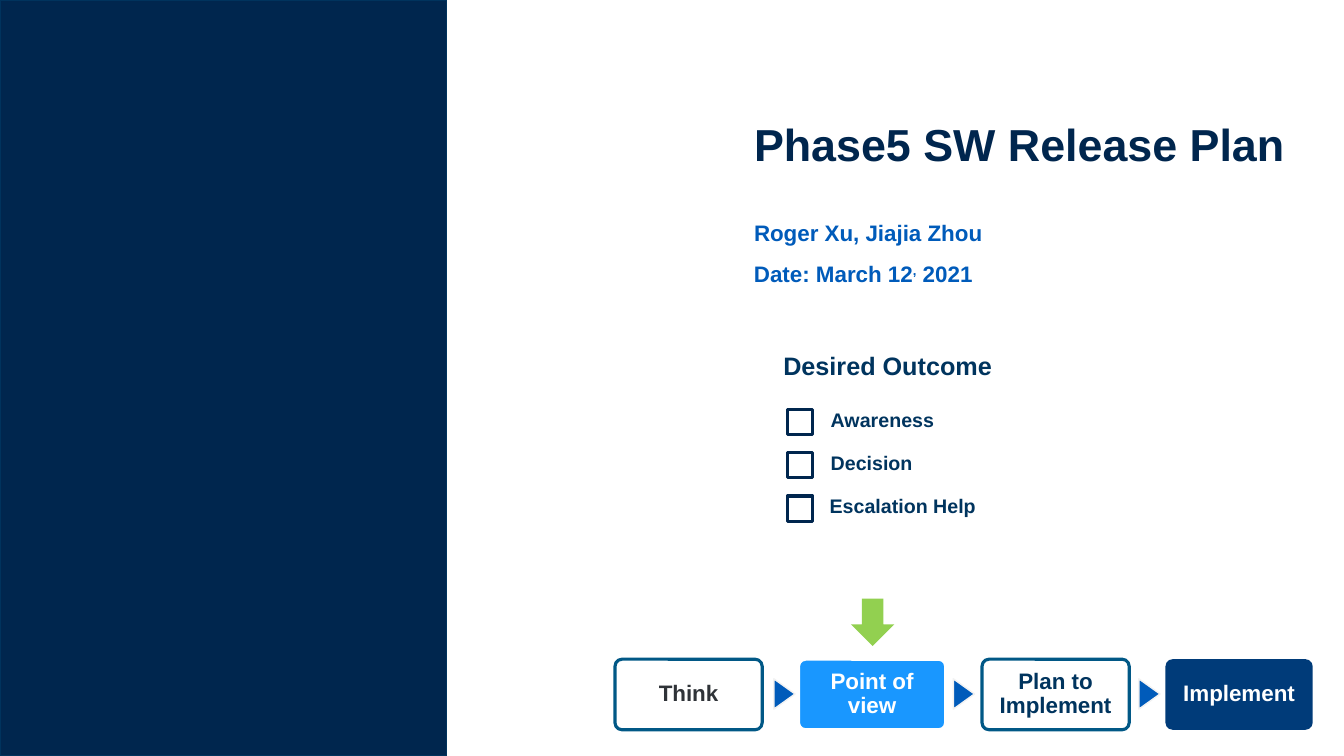
from dataclasses import dataclass
from typing import Optional

import pptx
import pptx.dml.color
import pptx.enum.shapes
import pptx.enum.text
import pptx.util

Inches = pptx.util.Inches
Pt = pptx.util.Pt
Preset = pptx.enum.shapes.MSO_SHAPE
Align = pptx.enum.text.PP_ALIGN

NAVY, DARK_BLUE, BLUE, WHITE = "00264E", "00345E", "005BBA", "FFFFFF"
TEAL = "015886"


@dataclass
class Label:
    text: str
    left: float
    top: float
    width: float
    size: float
    color: str
    height: float = 0.64
    superscript: str = ""
    ending: str = ""


@dataclass
class Step:
    text: str
    color: str
    fill: Optional[str] = None
    line: Optional[str] = None


LABELS = [
    Label("Phase5 SW Release Plan", 7.38, 0.83, 6.45, 32, NAVY, height=1.18),
    Label("Roger Xu, Jiajia Zhou", 7.38, 1.99, 4.19, 16, BLUE),
    Label("Date: March 12", 7.38, 2.39, 3.7, 16, BLUE, superscript=",", ending=" 2021"),
    Label("Desired Outcome", 7.67, 3.31, 3.42, 18, DARK_BLUE),
]
OUTCOMES = [("Awareness", 8.14), ("Decision", 8.14), ("Escalation Help", 8.13)]
OUTCOME_PITCH = 0.43
STEPS = [
    Step("Think", "2F3338", line=TEAL),
    Step("Point of view", WHITE, fill="1997FF", line=WHITE),
    Step("Plan to Implement", DARK_BLUE, line=TEAL),
    Step("Implement", WHITE, fill="003B79"),
]
STEP_LEFT, STEP_PITCH = 6.1, 1.82
TRIANGLE_LEFTS = [7.63, 9.41, 11.25]


def rgb(value: str):
    return pptx.dml.color.RGBColor.from_string(value)


def add_run(paragraph, text: str, size: float, color: str):
    run = paragraph.add_run()
    run.text = text
    font_format = {"name": "Arial", "size": Pt(size), "bold": True}
    for name, value in font_format.items():
        setattr(run.font, name, value)
    run.font.color.rgb = rgb(color)
    return run


def add_preset(slide, preset, left: float, top: float, width: float, height: float,
               fill: Optional[str] = None, line: Optional[str] = None,
               line_width: float = 2.25):
    shape = slide.shapes.add_shape(
        preset, Inches(left), Inches(top), Inches(width), Inches(height))
    shape.shadow.inherit = False
    if fill:
        shape.fill.solid()
        shape.fill.fore_color.rgb = rgb(fill)
    else:
        shape.fill.background()
    if line:
        shape.line.color.rgb = rgb(line)
        shape.line.width = Pt(line_width)
    else:
        shape.line.fill.background()
    return shape


def add_label(slide, label: Label) -> None:
    box = slide.shapes.add_textbox(
        Inches(label.left), Inches(label.top), Inches(label.width), Inches(label.height))
    frame = box.text_frame
    frame.word_wrap = True
    frame.vertical_anchor = pptx.enum.text.MSO_ANCHOR.MIDDLE
    paragraph = frame.paragraphs[0]
    add_run(paragraph, label.text, label.size, label.color)
    if label.superscript:
        raised = add_run(paragraph, label.superscript, label.size, label.color)
        raised.font._element.set("baseline", "30000")
    if label.ending:
        add_run(paragraph, label.ending, label.size, label.color)


def add_step(slide, step: Step, left: float) -> None:
    shape = add_preset(slide, Preset.ROUNDED_RECTANGLE, left, 6.54, 1.46, 0.7,
                       step.fill, step.line)
    shape.adjustments[0] = 0.1
    frame_format = {
        "word_wrap": True,
        "vertical_anchor": pptx.enum.text.MSO_ANCHOR.MIDDLE,
        "margin_left": Inches(0.09),
        "margin_right": Inches(0.09),
        "margin_top": Inches(0.09),
        "margin_bottom": Inches(0.09),
    }
    for name, value in frame_format.items():
        setattr(shape.text_frame, name, value)
    paragraph = shape.text_frame.paragraphs[0]
    paragraph.alignment = Align.CENTER
    paragraph.line_spacing = 0.9
    add_run(paragraph, step.text, 16, step.color)


def main() -> None:
    presentation = pptx.Presentation()
    presentation.slide_width = Inches(13.33)
    presentation.slide_height = Inches(7.5)
    slide = presentation.slides.add_slide(presentation.slide_layouts[6])

    add_preset(slide, Preset.RECTANGLE, 0, 0, 4.43, 7.5, NAVY, "00335D", 1)
    for label in LABELS:
        add_label(slide, label)

    for index, (text, left) in enumerate(OUTCOMES):
        offset = index * OUTCOME_PITCH
        add_preset(slide, Preset.RECTANGLE, 7.81, 4.06 + offset, 0.25, 0.25, line=NAVY)
        add_label(slide, Label(text, left, 3.84 + offset, 2.42, 14, DARK_BLUE))

    for index, step in enumerate(STEPS):
        add_step(slide, step, STEP_LEFT + index * STEP_PITCH)
    for left in TRIANGLE_LEFTS:
        triangle = add_preset(slide, Preset.ISOSCELES_TRIANGLE, left, 6.78, 0.3, 0.21,
                              BLUE, "F2F2F2", 1)
        triangle.rotation = 90
    add_preset(slide, Preset.DOWN_ARROW, 8.44, 5.94, 0.43, 0.47, "92D050")

    presentation.save("out.pptx")


if __name__ == "__main__":
    main()
